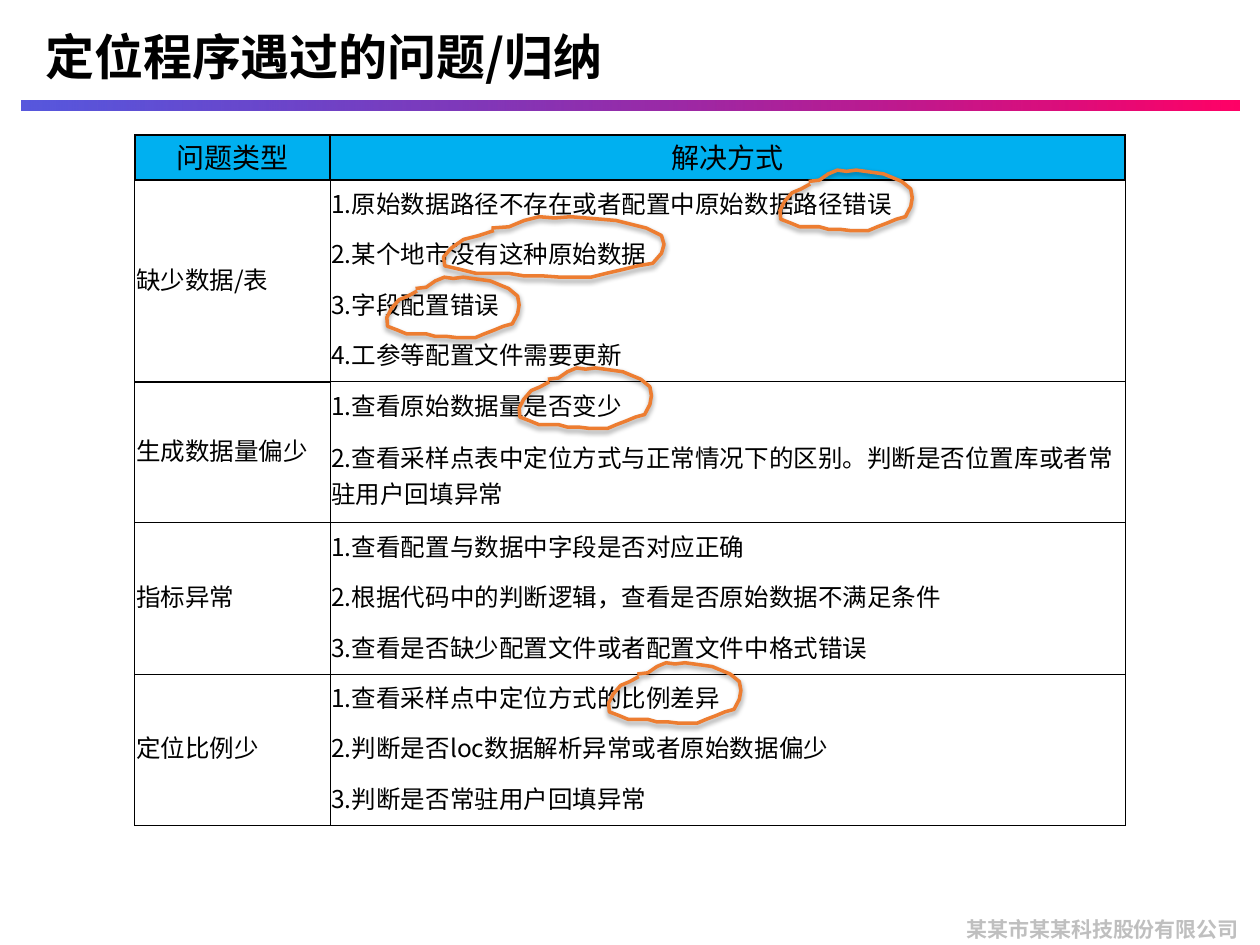
from lxml.etree import SubElement
from pptx import Presentation
from pptx.dml.color import RGBColor
from pptx.enum.shapes import MSO_SHAPE
from pptx.enum.text import MSO_ANCHOR, PP_ALIGN
from pptx.oxml.ns import qn
from pptx.util import Inches, Pt

FONT = "Noto Sans CJK SC"
TITLE = "定位程序遇过的问题/归纳"
FOOTER = "某某市某某科技股份有限公司"
HEADERS = ["问题类型", "解决方式"]
PROBLEMS = [
    ("缺少数据/表", ["1.原始数据路径不存在或者配置中原始数据路径错误",
                "2.某个地市没有这种原始数据",
                "3.字段配置错误",
                "4.工参等配置文件需要更新"]),
    ("生成数据量偏少", ["1.查看原始数据量是否变少",
                 "2.查看采样点表中定位方式与正常情况下的区别。判断是否位置库或者常驻用户回填异常"]),
    ("指标异常", ["1.查看配置与数据中字段是否对应正确",
              "2.根据代码中的判断逻辑，查看是否原始数据不满足条件",
              "3.查看是否缺少配置文件或者配置文件中格式错误"]),
    ("定位比例少", ["1.查看采样点中定位方式的比例差异",
               "2.判断是否loc数据解析异常或者原始数据偏少",
               "3.判断是否常驻用户回填异常"]),
]
COLUMNS = [1.55, 6.31]
HEADER_HEIGHT, LINE_HEIGHT, TWO_LINE_HEIGHT = 0.36, 0.4, 0.72
LONG_TEXT = 35

# Hand-drawn loop on a 175 by 48 grid, and where each loop goes: left, top, width
LOOP_GRID = (175, 48)
LOOP_HEIGHT = 0.48
LOOP = [(40, 11), (28, 15), (16, 18), (6, 25), (0, 32), (1, 39), (14, 42), (26, 45),
        (40, 45), (52, 45), (64, 47), (79, 47), (93, 48), (105, 48), (117, 48),
        (129, 45), (142, 42), (154, 39), (166, 37), (173, 29), (175, 22), (173, 15),
        (161, 9), (149, 6), (137, 3), (125, 2), (113, 1), (101, 0), (88, 1), (76, 0),
        (64, 3), (52, 8), (38, 9)]
LOOP_PLACES = [(6.19, 1.35, 1.05), (3.52, 1.72, 1.75), (3.07, 2.2, 1.05),
               (4.12, 2.92, 1.05), (4.83, 5.26, 1.05)]


def color(value):
    return RGBColor.from_string(value)


def write(frame, text, size, ink="000000", bold=False, align=PP_ALIGN.LEFT):
    para = frame.paragraphs[0]
    para.alignment = align
    span = para.add_run()
    span.text = text
    span.font.size = Pt(size)
    span.font.bold = bold
    span.font.name = FONT
    span.font.color.rgb = color(ink)
    SubElement(span.font._element, qn("a:ea"), typeface=FONT)


def add_label(page, text, place, size, wrap=True, left_inset=0.1, **style):
    box = page.shapes.add_textbox(*map(Inches, place))
    frame = box.text_frame
    frame.word_wrap = wrap
    frame.margin_left = Inches(left_inset)
    frame.vertical_anchor = MSO_ANCHOR.MIDDLE
    write(frame, text, size, bold=True, **style)


def add_rule(page):
    rule = page.shapes.add_shape(MSO_SHAPE.RECTANGLE, *map(Inches, (0.17, 0.8, 9.67, 0.08)))
    rule.shadow.inherit = False
    rule.line.fill.background()
    rule.fill.gradient()
    rule.fill.gradient_angle = 0
    for stop, value in zip(rule.fill.gradient_stops, ("0000CC", "FF0066")):
        stop.color.rgb = color(value)
    first = rule._element.spPr.find(".//" + qn("a:srgbClr"))
    SubElement(first, qn("a:alpha"), val="66000")


def set_borders(cell, left=0.5, right=0.5, top=0, bottom=0):
    """Draw each side at its width in points; 0 hides it."""
    properties = cell._tc.get_or_add_tcPr()
    for side, width in zip("LRTB", (left, right, top, bottom)):
        line = SubElement(properties, qn(f"a:ln{side}"), w=str(Pt(width)))
        if width:
            fill = SubElement(line, qn("a:solidFill"))
            SubElement(fill, qn("a:srgbClr"), val="000000")
        else:
            SubElement(line, qn("a:noFill"))


def fill_cell(cell, text, size=14, back=None, align=PP_ALIGN.LEFT, **borders):
    set_borders(cell, **borders)
    if back:
        cell.fill.solid()
        cell.fill.fore_color.rgb = color(back)
    else:
        cell.fill.background()
    cell.margin_left = cell.margin_right = cell.margin_top = Inches(0.01)
    cell.margin_bottom = Inches(0.05)
    cell.vertical_anchor = MSO_ANCHOR.MIDDLE
    if text:
        write(cell.text_frame, text, size, align=align)


def add_problem_table(page):
    solutions = [text for _, group in PROBLEMS for text in group]
    heights = [HEADER_HEIGHT] + [TWO_LINE_HEIGHT if len(text) > LONG_TEXT else LINE_HEIGHT
                                 for text in solutions]
    frame = page.shapes.add_table(len(heights), len(COLUMNS), Inches(1.07), Inches(1.07),
                                  Inches(sum(COLUMNS)), Inches(sum(heights)))
    table = frame.table
    for column, width in zip(table.columns, COLUMNS):
        column.width = Inches(width)
    for row, height in zip(table.rows, heights):
        row.height = Inches(height)
    for index, text in enumerate(HEADERS):
        fill_cell(table.cell(0, index), text, size=16, back="00B0F0",
                  align=PP_ALIGN.CENTER, left=1, right=1, top=1, bottom=1)

    start = 1
    for number, (problem, group) in enumerate(PROBLEMS):
        end = start + len(group) - 1
        label_top = 1 if number < 2 else 0.5
        label_bottom = 1 if number == 0 else 0.5
        for row, text in enumerate(group, start):
            fill_cell(table.cell(row, 0), problem if row == start else "",
                      top=label_top if row == start else 0, bottom=label_bottom)
            fill_cell(table.cell(row, 1), text,
                      top=(1 if row == 1 else 0.5) if row == start else 0,
                      bottom=0.5 if row == end else 0)
        table.cell(start, 0).merge(table.cell(end, 0))
        start = end + 1


def add_loop(page, left, top, width):
    scale = (Inches(width) / LOOP_GRID[0], Inches(LOOP_HEIGHT) / LOOP_GRID[1])
    builder = page.shapes.build_freeform(*LOOP[0], scale=scale)
    builder.add_line_segments(LOOP[1:], close=False)
    loop = builder.convert_to_shape(Inches(left), Inches(top))
    loop.fill.background()
    loop.line.color.rgb = color("ED7D31")
    loop.line.width = Pt(2)
    SubElement(loop._element.spPr.find(qn("a:ln")), qn("a:round"))
    loop.shadow.inherit = False
    effects = loop._element.spPr.find(qn("a:effectLst"))
    shadow = SubElement(effects, qn("a:outerShdw"), blurRad=str(Pt(3.1)),
                        dist=str(Pt(1.6)), dir="5400000", rotWithShape="0")
    shade = SubElement(shadow, qn("a:srgbClr"), val="000000")
    SubElement(shade, qn("a:alpha"), val="38000")


def main():
    deck = Presentation()
    deck.slide_width, deck.slide_height = Inches(10), Inches(7.5)
    page = deck.slides.add_slide(deck.slide_layouts[6])
    add_rule(page)
    add_label(page, FOOTER, (7.57, 7.21, 2.47, 0.33), 12, wrap=False, ink="BFBFBF")
    add_label(page, TITLE, (0.16, 0, 8.24, 0.88), 28, left_inset=0.2)
    add_problem_table(page)
    for place in LOOP_PLACES:
        add_loop(page, *place)
    deck.save("out.pptx")


if __name__ == "__main__":
    main()
